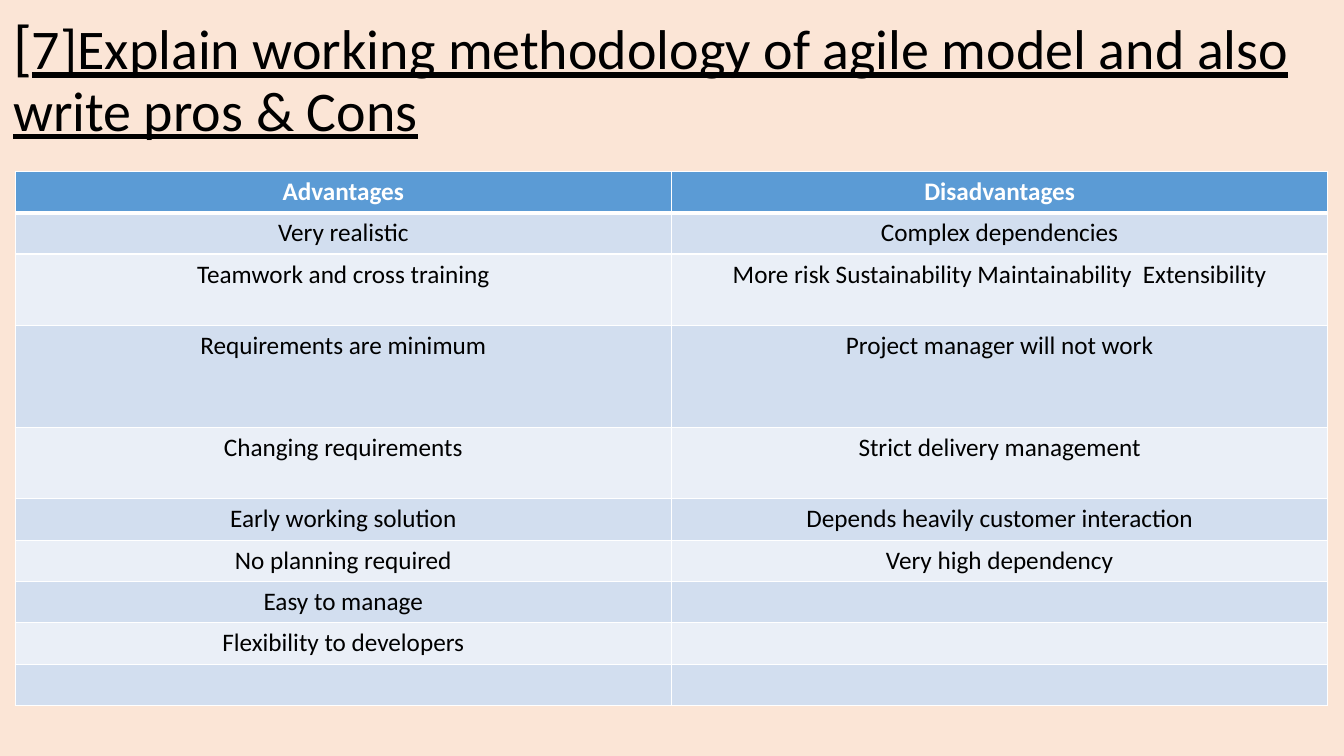
from typing import NamedTuple

from lxml import etree
from pptx import Presentation
from pptx import util as u
from pptx.dml.color import RGBColor
from pptx.enum import text
from pptx.oxml.ns import qn

FONT = "Calibri"
COLORS = {
    "page": "FBE5D6",
    "head": "5B9BD5",
    "odd": "D2DEEF",
    "even": "EAEFF7",
    "ink": "000000",
    "white": "FFFFFF",
}


class Row(NamedTuple):
    """One table row: both texts and the height in inches."""
    pro: str
    con: str
    high: float = 0.41


ROWS = [
    Row("Advantages", "Disadvantages"),
    Row("Very realistic", "Complex dependencies"),
    Row("Teamwork and cross training",
        "More risk Sustainability Maintainability  Extensibility", 0.71),
    Row("Requirements are minimum", "Project manager will not work", 1.01),
    Row("Changing requirements", "Strict delivery management", 0.71),
    Row("Early working solution", "Depends heavily customer interaction"),
    Row("No planning required", "Very high dependency"),
    Row("Easy to manage", ""),
    Row("Flexibility to developers", ""),
    Row("", ""),
]


def color(name: str) -> RGBColor:
    """Look up a named colour."""
    return RGBColor.from_string(COLORS[name])


def style(font, size: float, ink: str, bold: bool = False) -> None:
    """Set face, size, colour and weight of a font."""
    font.name, font.size, font.bold = FONT, u.Pt(size), bold
    font.color.rgb = color(ink)


def edge(cell, side: str, width: float) -> None:
    """Draw one white cell border; call before the cell is filled."""
    props = cell._tc.get_or_add_tcPr()
    line = etree.SubElement(props, qn(f"a:ln{side}"), w=str(u.Pt(width)))
    fill = etree.SubElement(line, qn("a:solidFill"))
    etree.SubElement(fill, qn("a:srgbClr"), val=COLORS["white"])


def add_title(slide) -> None:
    """Place and format the title."""
    title = slide.shapes.title
    title.left, title.top = u.Inches(0.03), u.Inches(-0.01)
    title.width, title.height = u.Inches(13.33), u.Inches(2.23)
    frame = title.text_frame
    frame.word_wrap = True
    frame.auto_size = text.MSO_AUTO_SIZE.NONE
    frame.vertical_anchor = text.MSO_ANCHOR.TOP
    frame.margin_top = u.Inches(0.17)
    para = frame.paragraphs[0]
    para.alignment = text.PP_ALIGN.LEFT
    para.line_spacing = 0.9
    words = "7]Explain working methodology of agile model and also write pros & Cons"
    for part, size, under in (("[", 44, False), (words, 40, True)):
        run = para.add_run()
        run.text = part
        style(run.font, size, "ink")
        run.font.underline = under


def fill_cell(cell, words: str, index: int) -> None:
    """Write and format a cell of the row with this index."""
    head = index == 0
    edges = {"L": 1, "R": 1, "T": 3 if index == 1 else 1, "B": 3 if head else 1}
    for side, width in edges.items():
        edge(cell, side, width)
    cell.fill.solid()
    cell.fill.fore_color.rgb = color("head" if head else "odd" if index % 2 else "even")
    cell.text = words
    para = cell.text_frame.paragraphs[0]
    para.alignment = text.PP_ALIGN.CENTER
    style(para.font, 18, "white" if head else "ink", head)


def add_table(slide) -> None:
    """Add the table of pros and cons."""
    high = u.Inches(sum(row.high for row in ROWS))
    table = slide.shapes.add_table(
        len(ROWS), 2, u.Inches(0.15), u.Inches(1.7), u.Inches(13.02), high).table
    for index, row in enumerate(ROWS):
        table.rows[index].height = u.Inches(row.high)
        for col, words in enumerate((row.pro, row.con)):
            fill_cell(table.cell(index, col), words, index)


def main() -> None:
    """Build and save the slide."""
    deck = Presentation()
    deck.slide_width, deck.slide_height = u.Inches(13.33), u.Inches(7.5)
    slide = deck.slides.add_slide(deck.slide_layouts.get_by_name("Title Only"))
    slide.background.fill.solid()
    slide.background.fill.fore_color.rgb = color("page")
    add_title(slide)
    add_table(slide)
    deck.save("out.pptx")


main()
